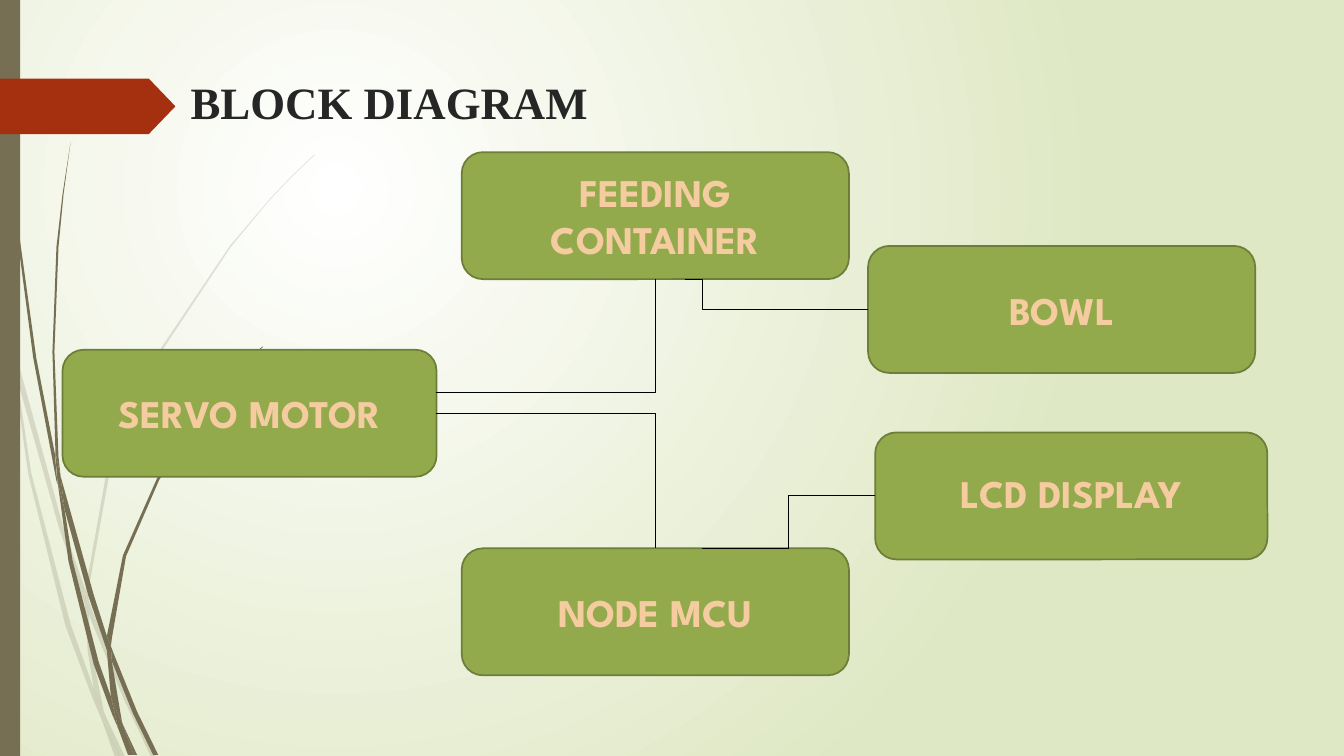
from lxml.etree import SubElement
from pptx import Presentation
from pptx.dml.color import RGBColor
from pptx.enum.shapes import MSO_CONNECTOR, MSO_SHAPE
from pptx.enum.text import MSO_ANCHOR, PP_ALIGN
from pptx.oxml.ns import qn
from pptx.util import Inches, Pt

WHITE = RGBColor(0xFF, 0xFF, 0xFF)
PALE_GREEN = RGBColor(0xDF, 0xE8, 0xC4)
TAUPE = RGBColor(0x76, 0x6F, 0x54)
RUST = RGBColor(0xA5, 0x30, 0x10)
GREEN = RGBColor(0x92, 0xAA, 0x4C)
DARK_GREEN = RGBColor(0x6C, 0x7E, 0x38)
PEACH = RGBColor(0xF5, 0xCB, 0xA0)
ORANGE = RGBColor(0xDE, 0x7E, 0x18)
CHARCOAL = RGBColor(0x26, 0x26, 0x26)
BLACK = RGBColor(0, 0, 0)

BLOCK_HEIGHT = 1.26

# Outlines of the grass blade pieces, in inches
PALE_BLADES = [
    [(0.11, 3.5), (0.09, 3.22), (0, 2.82), (0, 2.99), (0.1, 3.44)],
    [(0.58, 5.22), (0.84, 5.99), (0.85, 5.86), (0.62, 5.2), (0.14, 3.45),
     (0.17, 3.76)],
    [(0.92, 6.07), (0.88, 5.96), (0.88, 6.1), (1.23, 6.94), (1.5, 7.51),
     (1.55, 7.51), (1.27, 6.92)],
    [(1.19, 7.51), (1.24, 7.51), (1.05, 7.11)],
    [(0.93, 6.83), (0.7, 6.19), (0.31, 4.69), (0.17, 3.76), (0.11, 3.5),
     (0.28, 4.7), (0.65, 6.21), (0.92, 6.93), (1.01, 7.14), (0.99, 7.07)],
    [(0.84, 5.99), (0.87, 6.46), (0.93, 6.83), (0.96, 6.92), (1.05, 7.11),
     (1.03, 7.06), (0.91, 6.46), (0.88, 6.1), (0.88, 6.08)],
    [(0.88, 5.84), (1.1, 4.62), (1.6, 3.49), (2.29, 2.45), (2.68, 1.98),
     (2.9, 1.75), (3.12, 1.54), (3.12, 1.53), (2.89, 1.75), (2.68, 1.97),
     (2.28, 2.44), (1.58, 3.48), (1.07, 4.61), (0.85, 5.84), (0.85, 5.86),
     (0.88, 5.96)],
    [(1.01, 7.14), (1.14, 7.51), (1.19, 7.51)],
    [(0.88, 6.08), (0.88, 6.1), (0.88, 5.96), (0.85, 5.86), (0.84, 5.99)],
    [(0.96, 6.92), (0.93, 6.83), (0.99, 7.07), (1.01, 7.14), (1.19, 7.51),
     (1.05, 7.11)],
]
DARK_BLADES = [
    [(0.07, 1.1), (0.17, 2.33), (0.33, 3.55), (0.56, 4.77), (0.57, 4.81),
     (0.55, 4.57), (0.55, 4.53), (0.36, 3.55), (0.19, 2.32), (0.08, 1.09),
     (0.05, 0.48), (0.04, 0), (0.03, 0), (0.04, 0.48)],
    [(0.88, 5.92), (1.06, 6.45), (1.06, 6.33), (1.06, 6.31), (0.93, 5.9),
     (0.6, 4.72), (0.64, 5.05)],
    [(1.13, 6.49), (1.1, 6.41), (1.11, 6.56), (1.32, 7.08), (1.52, 7.49),
     (1.57, 7.49), (1.36, 7.06)],
    [(1.1, 6.91), (0.98, 6.57), (0.72, 5.56), (0.64, 5.05), (0.57, 4.77),
     (0.68, 5.57), (0.93, 6.59), (1.11, 7.08), (1.17, 7.22), (1.16, 7.17)],
    [(0.6, 4.72), (0.58, 4.53), (0.54, 3.49), (0.58, 2.45), (0.63, 1.93),
     (0.7, 1.41), (0.62, 1.93), (0.56, 2.45), (0.52, 3.49), (0.55, 4.49)],
    [(1.33, 7.49), (1.36, 7.49), (1.22, 7.19)],
    [(0.57, 4.77), (0.64, 5.05), (0.6, 4.72), (0.55, 4.49), (0.55, 4.53)],
    [(1.11, 6.33), (1.25, 5.52), (1.58, 4.76), (2.05, 4.06), (2.31, 3.74),
     (2.45, 3.59), (2.61, 3.44), (2.6, 3.44), (2.45, 3.58), (2.31, 3.73),
     (2.04, 4.05), (1.56, 4.74), (1.22, 5.51), (1.06, 6.31), (1.1, 6.41)],
    [(1.17, 7.22), (1.27, 7.49), (1.31, 7.49)],
    [(1.06, 6.45), (1.1, 6.91), (1.16, 7.06), (1.22, 7.19), (1.21, 7.16),
     (1.11, 6.56), (1.09, 6.51)],
    [(1.06, 6.45), (1.09, 6.51), (1.11, 6.56), (1.1, 6.41), (1.06, 6.31)],
    [(1.16, 7.06), (1.1, 6.91), (1.16, 7.17), (1.17, 7.22), (1.3, 7.49),
     (1.33, 7.49), (1.22, 7.19)],
]


def paint_background(page):
    fill = page.background.fill
    fill.gradient()
    for stop, color in zip(fill.gradient_stops, (WHITE, PALE_GREEN)):
        stop.color.rgb = color
    gradient = page.element.find(".//" + qn("a:gradFill"))
    gradient.remove(gradient.find(qn("a:lin")))
    circle = SubElement(gradient, qn("a:path"), {"path": "circle"})
    SubElement(circle, qn("a:fillToRect"),
               {"l": "50000", "t": "50000", "r": "100000", "b": "100000"})


def add_blade(page, outline, alpha=None):
    corners = [(Inches(x), Inches(y)) for x, y in outline]
    builder = page.shapes.build_freeform(*corners[0], scale=1.0)
    builder.add_line_segments(corners[1:], close=True)
    blade = builder.convert_to_shape()
    style_shape(blade, TAUPE)
    if alpha:
        color = blade.element.spPr.find(qn("a:solidFill"))[0]
        SubElement(color, qn("a:alpha"), {"val": str(alpha * 1000)})


def style_shape(shape, color, line=None):
    shape.shadow.inherit = False
    shape.fill.solid()
    shape.fill.fore_color.rgb = color
    if line:
        shape.line.color.rgb = line
        shape.line.width = Pt(1.25)
    else:
        shape.line.fill.background()


def add_panel(page, kind, left, top, width, height, color, line=None):
    panel = page.shapes.add_shape(kind, Inches(left), Inches(top),
                                  Inches(width), Inches(height))
    style_shape(panel, color, line)
    return panel


def write(box, text, *, size, font, color, align=PP_ALIGN.LEFT,
          anchor=MSO_ANCHOR.TOP, outline=None):
    frame = box.text_frame
    frame.word_wrap = True
    frame.vertical_anchor = anchor
    para = frame.paragraphs[0]
    para.alignment = align
    span = para.add_run()
    span.text = text
    span.font.size = Pt(size)
    span.font.name = font
    span.font.bold = True
    span.font.color.rgb = color
    if outline:
        properties = span.font._element
        edge = SubElement(properties, qn("a:ln"), {"w": str(Pt(1.75))})
        fill = SubElement(edge, qn("a:solidFill"))
        SubElement(fill, qn("a:srgbClr"), {"val": str(outline)})
        properties.insert(0, edge)


def add_title(page, text):
    box = page.shapes.add_textbox(Inches(1.68), Inches(0.69),
                                  Inches(10.55), Inches(1.4))
    box.text_frame.margin_left = Inches(0.21)
    write(box, text, size=32, font="Times New Roman", color=CHARCOAL)


def add_block(page, text, left, top, width=3.84):
    block = add_panel(page, MSO_SHAPE.ROUNDED_RECTANGLE, left, top, width,
                      BLOCK_HEIGHT, GREEN, DARK_GREEN)
    write(block, text, size=28, font="League Spartan", color=PEACH,
          align=PP_ALIGN.CENTER, anchor=MSO_ANCHOR.MIDDLE, outline=ORANGE)
    return block


def add_elbow(page, x, y, block, side, bend=None):
    """Bent line to a block side; without a bend it turns only once."""
    start = Inches(x), Inches(y)
    elbow = page.shapes.add_connector(MSO_CONNECTOR.ELBOW, *start, *start)
    elbow.end_connect(block, side)
    elbow.line.color.rgb = BLACK
    elbow.line.width = Pt(0.75)
    SubElement(elbow.element.spPr, qn("a:effectLst"))
    geometry = elbow.element.spPr.find(qn("a:prstGeom"))
    if bend is None:
        geometry.set("prst", "bentConnector2")
    else:
        SubElement(geometry.find(qn("a:avLst")), qn("a:gd"),
                   {"name": "adj1", "fmla": f"val {round(bend * 100000)}"})


def main():
    deck = Presentation()
    deck.slide_width, deck.slide_height = Inches(13.33), Inches(7.5)
    page = deck.slides.add_slide(deck.slide_layouts[6])

    # Backdrop
    paint_background(page)
    for outline in PALE_BLADES:
        add_blade(page, outline, alpha=20)
    for outline in DARK_BLADES:
        add_blade(page, outline)
    add_panel(page, MSO_SHAPE.RECTANGLE, 0, 0, 0.2, 7.5, TAUPE)
    flag = add_panel(page, MSO_SHAPE.PENTAGON, 0, 0.78, 1.74, 0.55, RUST)
    flag.adjustments[0] = 0.48

    add_title(page, "BLOCK DIAGRAM")

    # Blocks
    display = add_block(page, "LCD DISPLAY", 8.68, 4.29, width=3.89)
    display.text_frame.margin_bottom = Inches(0.12)
    controller = add_block(page, "NODE MCU", 4.58, 5.44)
    add_block(page, "SERVO MOTOR", 0.62, 3.47, width=3.71)
    container = add_block(page, "FEEDING CONTAINER", 4.58, 1.51)
    bowl = add_block(page, "BOWL", 8.61, 2.44)

    # Links
    add_elbow(page, 4.32, 3.89, container, 2)
    add_elbow(page, 4.32, 4.1, controller, 0)
    add_elbow(page, 6.96, 5.44, display, 1, bend=0.5)
    add_elbow(page, 6.79, 2.77, bowl, 1, bend=0.1)

    deck.save("out.pptx")


if __name__ == "__main__":
    main()
